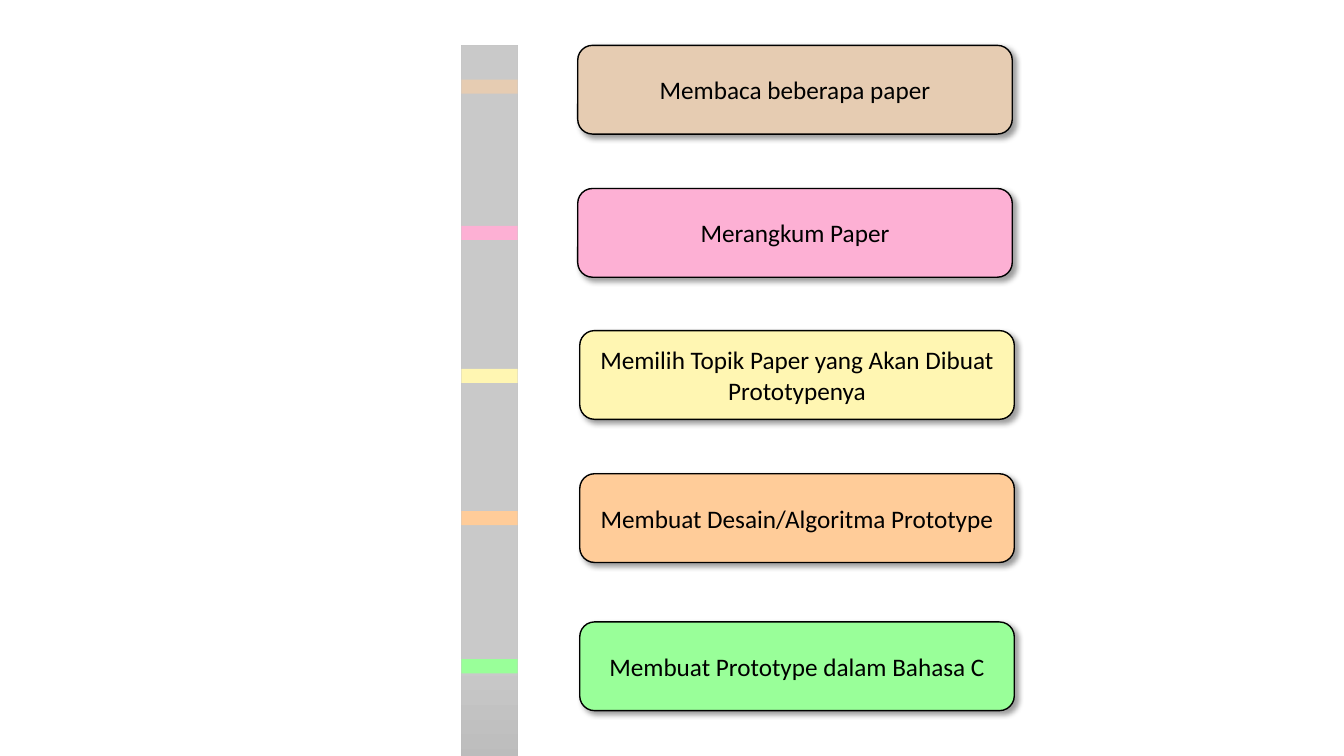
from pptx import Presentation
from pptx.dml.color import RGBColor
from pptx.enum.shapes import MSO_SHAPE
from pptx.enum.text import MSO_ANCHOR, PP_ALIGN
from pptx.oxml import parse_xml
from pptx.oxml.ns import nsdecls, qn
from pptx.util import Inches, Pt

STEPS = [
    ("Membaca beberapa paper", "E6CCB2", 5.73, 0.45, 0.79),
    ("Merangkum Paper", "FDB0D4", 5.73, 1.87, 2.24),
    ("Memilih Topik Paper yang Akan Dibuat Prototypenya", "FFF6B2", 5.75, 3.28, 3.66),
    ("Membuat Desain/Algoritma Prototype", "FFCC99", 5.75, 4.7, 5.07),
    ("Membuat Prototype dalam Bahasa C", "99FF99", 5.75, 6.17, 6.54),
]
FADE = [(0, "6F6F6F"), (31, "A8A8A8"), (50, "C9C9C9")]


def paint(color, tone):
    """Set a colour from a hex string."""
    color.rgb = RGBColor.from_string(tone)


def add_form(slide, kind, box, tone):
    """Add a filled shape without line or shadow."""
    form = slide.shapes.add_shape(kind, *map(Inches, box))
    form.shadow.inherit = False
    form.fill.solid()
    paint(form.fill.fore_color, tone)
    form.line.fill.background()
    return form


def add_arrow(slide, box):
    """Add the long grey arrow that fades upwards."""
    arrow = add_form(slide, MSO_SHAPE.DOWN_ARROW, box, FADE[-1][1])
    arrow.adjustments[0] = 0.385
    arrow.adjustments[1] = 0.5
    stops = "".join(
        f'<a:gs pos="{share * 1000}"><a:srgbClr val="{tone}"/></a:gs>' for share, tone in FADE
    )
    props = arrow._element.spPr
    props.replace(props.find(qn("a:solidFill")), parse_xml(
        f'<a:gradFill {nsdecls("a")} rotWithShape="1"><a:gsLst>{stops}</a:gsLst>'
        '<a:lin ang="16200000" scaled="0"/></a:gradFill>'))


def add_card(slide, box, text, tone):
    """Add a rounded step card with its text and shadow."""
    card = add_form(slide, MSO_SHAPE.ROUNDED_RECTANGLE, box, tone)
    paint(card.line.color, "000000")
    card.line.width = Pt(1)
    card._element.spPr.find(qn("a:effectLst")).append(parse_xml(
        f'<a:outerShdw {nsdecls("a")} blurRad="{Pt(4)}" dist="{Pt(3)}" dir="2700000" '
        'algn="tl" rotWithShape="0"><a:srgbClr val="000000"><a:alpha val="39000"/>'
        '</a:srgbClr></a:outerShdw>'))
    frame = card.text_frame
    frame.word_wrap = True
    frame.vertical_anchor = MSO_ANCHOR.MIDDLE
    line = frame.paragraphs[0]
    line.alignment = PP_ALIGN.CENTER
    run = line.add_run()
    run.text = text
    for name, value in {"size": Pt(18), "name": "Calibri"}.items():
        setattr(run.font, name, value)
    paint(run.font.color, "000000")


def add_flow(slide, box):
    """Place the arrow in its box, then a card and a band for each step."""
    add_arrow(slide, box)
    left, _, width, _ = box
    band = 0.56
    for text, tone, side, top, mark in STEPS:
        add_card(slide, (side, top, 4.31, 0.88), text, tone)
        add_form(slide, MSO_SHAPE.RECTANGLE, (left + (width - band) / 2, mark, band, 0.14), tone)


deck = Presentation()
deck.slide_width, deck.slide_height = Inches(13.33), Inches(7.5)
add_flow(deck.slides.add_slide(deck.slide_layouts[6]), (4.13, 0.45, 1.45, 12.22))
deck.save("out.pptx")
